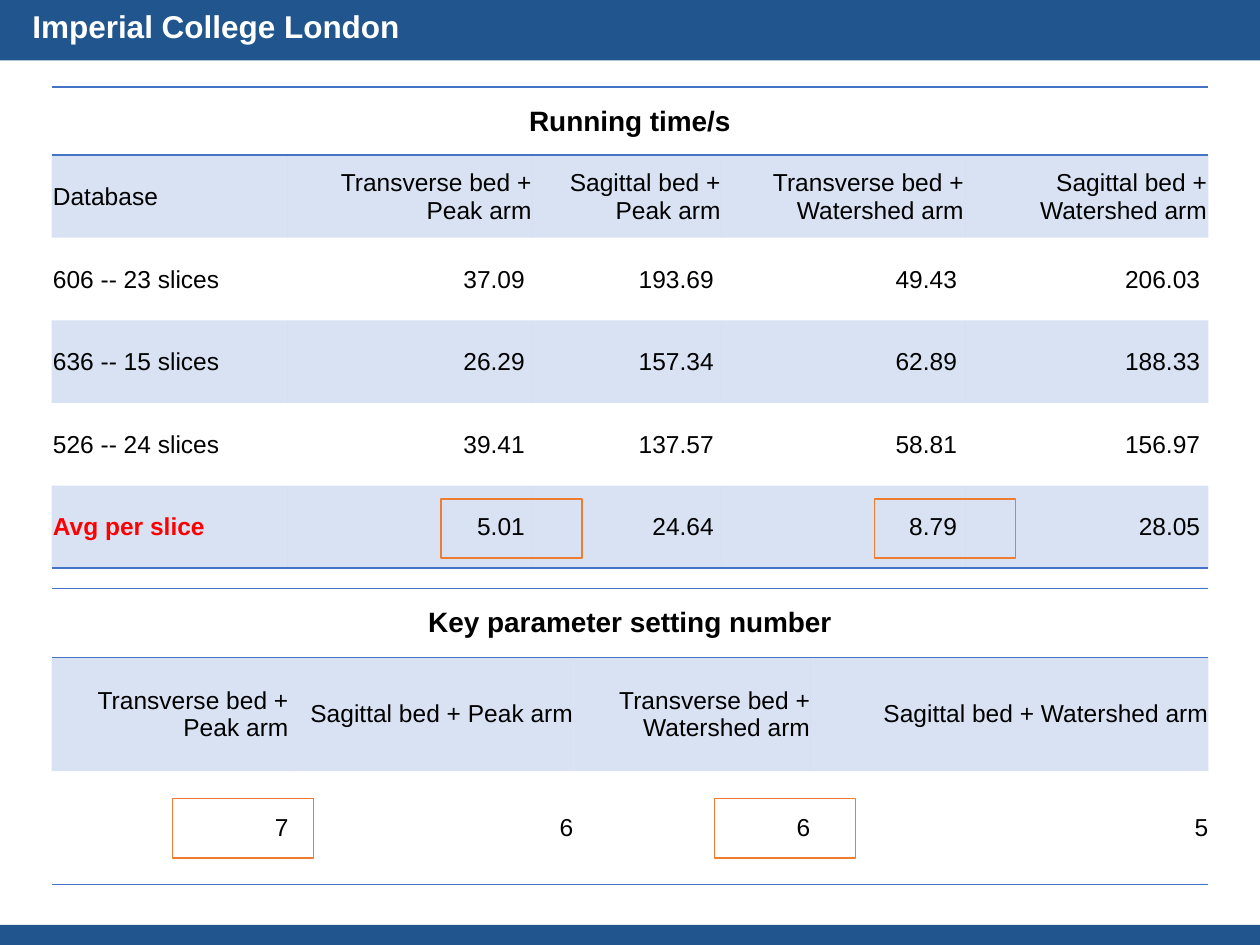
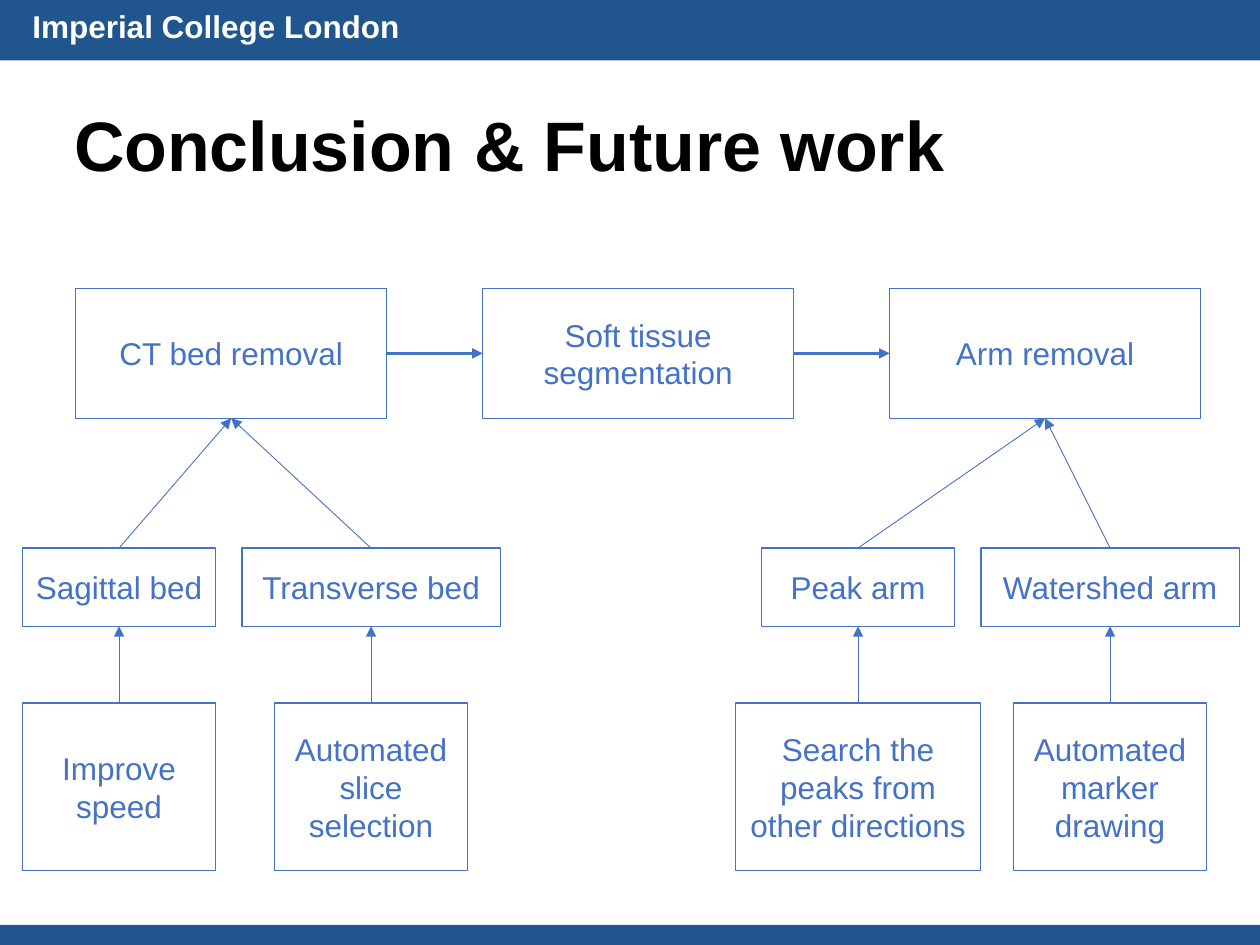
from pptx import Presentation
from pptx.dml.color import RGBColor
from pptx.enum.shapes import MSO_CONNECTOR, MSO_SHAPE
from pptx.enum.text import MSO_ANCHOR, PP_ALIGN
from pptx.oxml.ns import qn
from pptx.util import Inches, Pt
from lxml import etree

NAVY = RGBColor(0x20, 0x56, 0x8D)
BLUE = RGBColor(0x44, 0x72, 0xC4)
ORANGE = RGBColor(0xED, 0x7D, 0x31)
RED = RGBColor(0xFF, 0x00, 0x00)
BLACK = RGBColor(0x00, 0x00, 0x00)
WHITE = RGBColor(0xFF, 0xFF, 0xFF)
FONT = "Arial"
RECT = MSO_SHAPE.RECTANGLE
STRAIGHT = MSO_CONNECTOR.STRAIGHT
MIDDLE = MSO_ANCHOR.MIDDLE
LEFT, CENTER, RIGHT = PP_ALIGN.LEFT, PP_ALIGN.CENTER, PP_ALIGN.RIGHT
TOP_SITE, LEFT_SITE, BOTTOM_SITE, RIGHT_SITE = range(4)
NO_TABLE_STYLE = "{2D5ABB26-0587-4C30-8999-92F81FD0307C}"

METHODS = [
    "Transverse bed + Peak arm",
    "Sagittal bed + Peak arm",
    "Transverse bed + Watershed arm",
    "Sagittal bed + Watershed arm",
]
RUNNING_TIMES = [
    ("606 -- 23 slices", "37.09 ", "193.69 ", "49.43 ", "206.03 "),
    ("636 -- 15 slices", "26.29 ", "157.34 ", "62.89 ", "188.33 "),
    ("526 -- 24 slices", "39.41 ", "137.57 ", "58.81 ", "156.97 "),
    ("Avg per slice", "5.01 ", "24.64 ", "8.79 ", "28.05 "),
]
PARAMETER_COUNTS = ("7", "6", "6", "5")


def write(tf, text, size, color, bold=False, align=LEFT):
    tf.text = text
    p = tf.paragraphs[0]
    p.alignment = align
    font = p.runs[0].font
    font.name, font.size, font.bold = FONT, Pt(size), bold
    font.color.rgb = color


def add_text(s, box, text, size, color, align=LEFT, wrap=True, anchor=MSO_ANCHOR.TOP):
    tf = s.shapes.add_textbox(*map(Inches, box)).text_frame
    tf.word_wrap = wrap
    tf.vertical_anchor = anchor
    write(tf, text, size, color, True, align)


def add_band(s, top, height):
    sp = s.shapes.add_shape(RECT, 0, Inches(top), Inches(10), Inches(height))
    sp.shadow.inherit = False
    sp.fill.solid()
    sp.fill.fore_color.rgb = NAVY
    sp.line.fill.background()


def add_slide(prs):
    s = prs.slides.add_slide(prs.slide_layouts[6])
    add_band(s, -0.04, 0.52)
    add_band(s, 7.34, 0.16)
    add_text(s, (0.14, 0.01, 3.15, 0.4), "Imperial College London", 18, WHITE, CENTER, False)
    return s


def add_frame(s, box, color, text=None):
    sp = s.shapes.add_shape(RECT, *map(Inches, box))
    sp.shadow.inherit = False
    sp.fill.background()
    sp.line.color.rgb = color
    sp.line.width = Pt(0.75)
    if text:
        tf = sp.text_frame
        tf.word_wrap = True
        tf.vertical_anchor = MIDDLE
        write(tf, text, 18, color, align=CENTER)
    return sp


def add_arrow(s, start, start_site, end, end_site, width):
    line = s.shapes.add_connector(STRAIGHT, 0, 0, 0, 0)
    line.begin_connect(start, start_site)
    line.end_connect(end, end_site)
    line.line.color.rgb = BLUE
    line.line.width = Pt(width)
    etree.SubElement(line.line._get_or_add_ln(), qn("a:tailEnd"), type="triangle")
    etree.SubElement(line._element.spPr, qn("a:effectLst"))


def set_borders(cell, sides):
    tcPr = cell._tc.get_or_add_tcPr()
    for i, side in enumerate(sides):
        ln = etree.Element(qn("a:ln" + side), w=str(Pt(1)))
        fill = etree.SubElement(ln, qn("a:solidFill"))
        etree.SubElement(fill, qn("a:srgbClr"), val=str(BLUE))
        tcPr.insert(i, ln)


def tint(cell):
    cell.fill.solid()
    cell.fill.fore_color.rgb = BLUE
    color = cell._tc.tcPr.find(".//" + qn("a:srgbClr"))
    etree.SubElement(color, qn("a:alpha"), val="20000")


def add_table(s, left, top, col_widths, row_heights, title, rows, inset, labelled=False):
    n_rows, n_cols = len(row_heights), len(col_widths)
    frame = s.shapes.add_table(n_rows, n_cols, Inches(left), Inches(top),
                               Inches(sum(col_widths)), Inches(sum(row_heights)))
    table = frame.table
    table.first_row = table.horz_banding = False
    table._tbl.tblPr.find(qn("a:tableStyleId")).text = NO_TABLE_STYLE
    for col, width in zip(table.columns, col_widths):
        col.width = Inches(width)
    for row, height in zip(table.rows, row_heights):
        row.height = Inches(height)
    table.cell(0, 0).merge(table.cell(0, n_cols - 1))
    for i in range(n_rows):
        for j in range(n_cols):
            cell = table.cell(i, j)
            cell.vertical_anchor = MIDDLE
            cell.margin_left = cell.margin_right = cell.margin_top = Inches(inset)
            cell.margin_bottom = 0
            if i % 2:
                tint(cell)
            else:
                cell.fill.background()
            if i == 0:
                set_borders(cell, "TB")
            elif i == n_rows - 1:
                set_borders(cell, "B")
            if i:
                align = LEFT if labelled and j == 0 else RIGHT
                write(cell.text_frame, rows[i - 1][j], 14, BLACK, align=align)
    write(table.cell(0, 0).text_frame, title, 16, BLACK, True, CENTER)
    return table


def build_results(prs):
    s = add_slide(prs)
    times = add_table(s, 0.41, 0.69, [1.87, 1.95, 1.5, 1.93, 1.93], [0.54] + [0.656] * 5,
                      "Running time/s", [["Database"] + METHODS] + RUNNING_TIMES, 0.01, True)
    font = times.cell(5, 0).text_frame.paragraphs[0].runs[0].font
    font.bold = True
    font.color.rgb = RED
    add_table(s, 0.41, 4.67, [1.88, 2.26, 1.88, 3.16], [0.55, 0.9, 0.9],
              "Key parameter setting number", [METHODS, PARAMETER_COUNTS], 0)
    for left, top in [(3.5, 3.96), (6.94, 3.96), (1.37, 6.34), (5.67, 6.34)]:
        add_frame(s, (left, top, 1.12, 0.47), ORANGE)


def build_conclusion(prs):
    s = add_slide(prs)
    add_text(s, (0.49, 0.89, 7.23, 0.5), "Conclusion & Future work", 40, BLACK, anchor=MIDDLE)
    stages = [add_frame(s, (0.6 + 3.23 * i, 2.29, 2.47, 1.03), BLUE, text)
              for i, text in enumerate(["CT bed removal", "Soft tissue segmentation", "Arm removal"])]
    for start, end in zip(stages, stages[1:]):
        add_arrow(s, start, RIGHT_SITE, end, LEFT_SITE, 1.5)

    bed, _, arm = stages
    branches = [
        (bed, 0.945, "Sagittal bed", 1.53, "Improve speed", 1.53),
        (bed, 2.945, "Transverse bed", 2.05, "Automated slice selection", 1.53),
        (arm, 6.81, "Peak arm", 1.53, "Search the peaks from other directions", 1.94),
        (arm, 8.81, "Watershed arm", 2.05, "Automated marker drawing", 1.53),
    ]
    for stage, center, method, method_w, future, future_w in branches:
        method_box = add_frame(s, (center - method_w / 2, 4.35, method_w, 0.62), BLUE, method)
        future_box = add_frame(s, (center - future_w / 2, 5.58, future_w, 1.33), BLUE, future)
        add_arrow(s, method_box, TOP_SITE, stage, BOTTOM_SITE, 0.5)
        add_arrow(s, future_box, TOP_SITE, method_box, BOTTOM_SITE, 0.5)


def main():
    prs = Presentation()
    prs.slide_width = Inches(10)
    prs.slide_height = Inches(7.5)
    build_results(prs)
    build_conclusion(prs)
    prs.save("out.pptx")


if __name__ == "__main__":
    main()
